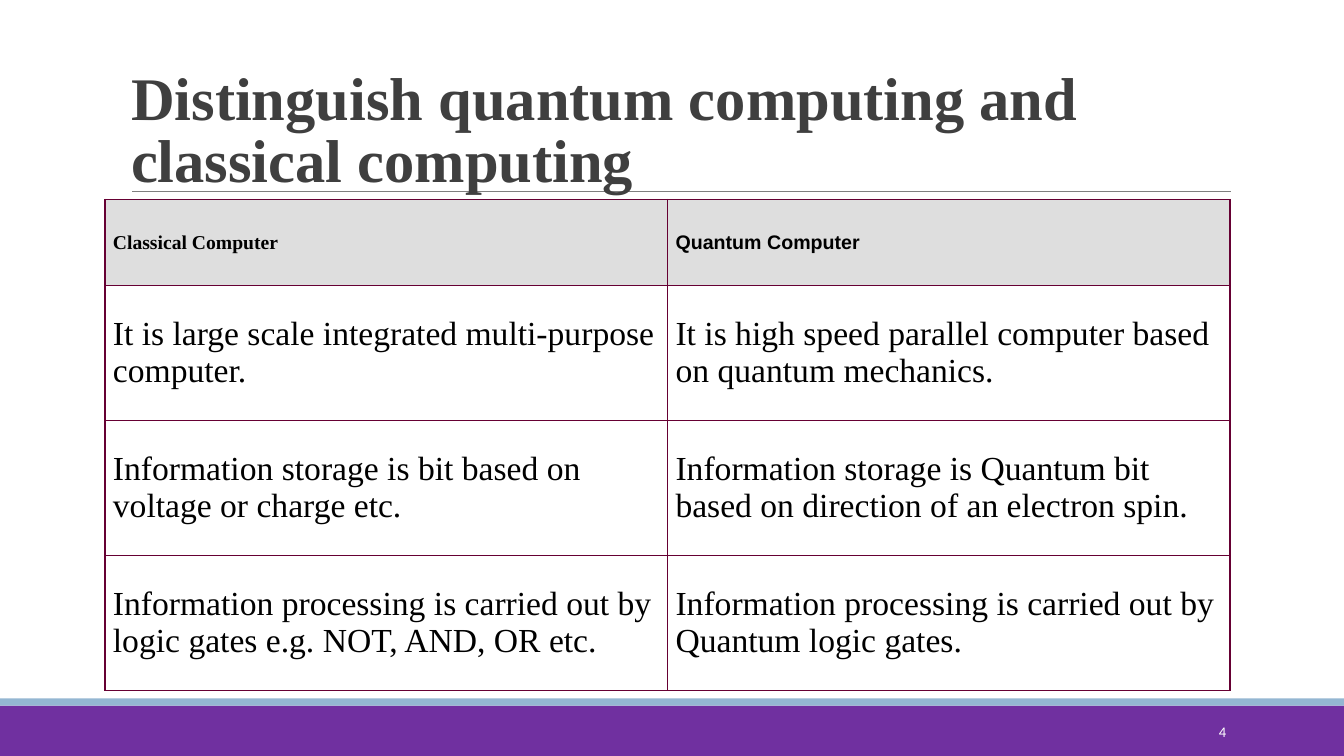
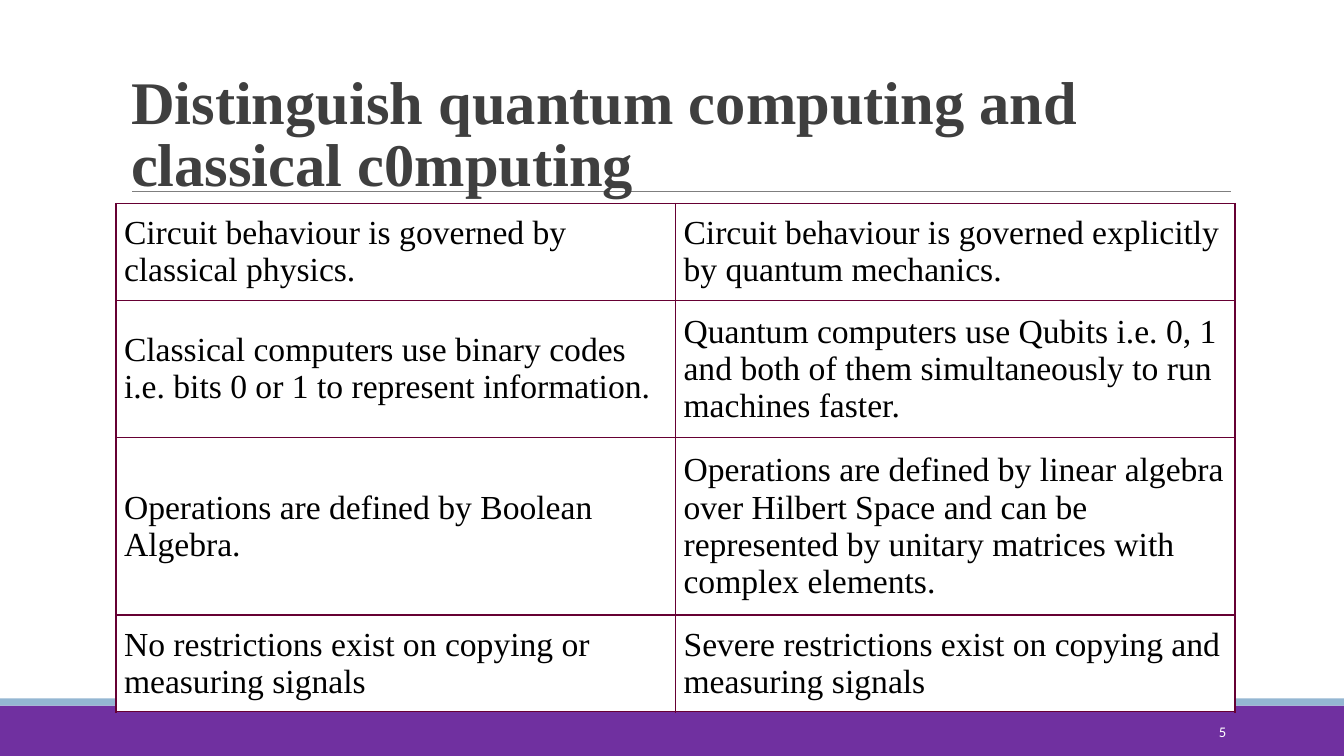
from lxml import etree
from pptx import Presentation
from pptx.dml.color import RGBColor
from pptx.enum import shapes, text
from pptx.oxml.ns import qn
from pptx.util import Inches, Pt

PURPLE = RGBColor(0x70, 0x30, 0xA0)
PALE_BLUE = RGBColor(0x94, 0xB6, 0xD2)
RULE_GREY = RGBColor(0x7F, 0x7F, 0x7F)
TITLE_GREY = RGBColor(0x3F, 0x3F, 0x3F)
HEADER_GREY = RGBColor(0xDE, 0xDE, 0xDE)
BORDER = RGBColor(0x66, 0x00, 0x33)
BLACK = RGBColor(0, 0, 0)
WHITE = RGBColor(0xFF, 0xFF, 0xFF)

SERIF, SANS, NUMBER_FONT = "Times New Roman", "Arial", "Calibri"
WIDTH, HEIGHT = 13.33, 7.5
CELL_MARGIN = 0.08


class Deck:
    """Holds the presentation, its style and the slide being built."""

    def __init__(self):
        self.prs = Presentation()
        self.prs.slide_width, self.prs.slide_height = Inches(WIDTH), Inches(HEIGHT)
        self.s = None

    def new_slide(self, title, title_box, number):
        self.s = self.prs.slides.add_slide(self.prs.slide_layouts[5])
        self.band(7, 0.5, PURPLE)
        self.band(6.93, 0.07, PALE_BLUE)
        self.rule(1.31, 12.21, 1.9)
        self.title(title, title_box)
        self.slide_number(number)

    def run(self, p, words, font, size, color, bold=False):
        r = p.add_run()
        r.text = words
        f = r.font
        f.name, f.size, f.bold = font, Pt(size), bold
        f.color.rgb = color

    def band(self, top, height, color):
        sp = self.s.shapes.add_shape(shapes.MSO_SHAPE.RECTANGLE, 0, Inches(top),
                                     Inches(WIDTH), Inches(height))
        sp.shadow.inherit = False
        sp.fill.solid()
        sp.fill.fore_color.rgb = color
        sp.line.fill.background()

    def rule(self, left, right, y):
        line = self.s.shapes.add_connector(shapes.MSO_CONNECTOR.STRAIGHT, Inches(left),
                                           Inches(y), Inches(right), Inches(y))
        line.line.color.rgb = RULE_GREY
        line.line.width = Pt(0.75)
        etree.SubElement(line._element.spPr, qn("a:effectLst"))

    def title(self, words, box):
        sp = self.s.shapes.title
        sp._element.getparent().append(sp._element)  # in front of the rule
        sp.left, sp.top, sp.width, sp.height = map(Inches, box)
        tf = sp.text_frame
        tf.word_wrap = True
        tf.auto_size = text.MSO_AUTO_SIZE.NONE
        tf.vertical_anchor = text.MSO_ANCHOR.BOTTOM
        p = tf.paragraphs[0]
        p.alignment = text.PP_ALIGN.LEFT
        p.line_spacing = 0.85
        self.run(p, words, SERIF, 43.2, TITLE_GREY, bold=True)

    def slide_number(self, number):
        sp = self.s.shapes.add_textbox(Inches(10.83), Inches(7.06), Inches(1.43), Inches(0.4))
        tf = sp.text_frame
        tf.word_wrap = True
        tf.vertical_anchor = text.MSO_ANCHOR.MIDDLE
        p = tf.paragraphs[0]
        p.alignment = text.PP_ALIGN.RIGHT
        self.run(p, str(number), NUMBER_FONT, 10.5, WHITE)

    def table(self, left, top, col_width, row_heights, rows, header=None):
        """Two-column comparison; header is a list of (words, font)."""
        body = [[(words, SERIF) for words in row] for row in rows]
        cells = ([header] if header else []) + body
        frame = self.s.shapes.add_table(len(cells), 2, Inches(left), Inches(top),
                                        Inches(2 * col_width), Inches(sum(row_heights)))
        tbl = frame.table
        tbl.first_row, tbl.horz_banding = bool(header), False
        for col in tbl.columns:
            col.width = Inches(col_width)
        for i, (height, row) in enumerate(zip(row_heights, cells)):
            tbl.rows[i].height = Inches(height)
            is_header = bool(header) and i == 0
            for j, (words, font) in enumerate(row):
                self.cell(tbl.cell(i, j), words, font, is_header)

    def cell(self, cell, words, font, is_header):
        cell.margin_left = cell.margin_right = Inches(CELL_MARGIN)
        cell.margin_top = cell.margin_bottom = Inches(CELL_MARGIN)
        cell.vertical_anchor = text.MSO_ANCHOR.MIDDLE
        self.borders(cell)
        cell.fill.solid()
        cell.fill.fore_color.rgb = HEADER_GREY if is_header else WHITE
        self.run(cell.text_frame.paragraphs[0], words, font,
                 14 if is_header else 24, BLACK, bold=is_header)

    def borders(self, cell):
        tc_pr = cell._tc.get_or_add_tcPr()
        for side in ("a:lnL", "a:lnR", "a:lnT", "a:lnB"):
            ln = etree.SubElement(tc_pr, qn(side), w=str(Pt(1.2)))
            fill = etree.SubElement(ln, qn("a:solidFill"))
            etree.SubElement(fill, qn("a:srgbClr"), val=str(BORDER))


def main():
    deck = Deck()

    deck.new_slide("Distinguish quantum computing and classical computing",
                   (1.2, 0.66, 10.76, 1.32), 4)
    deck.table(1.04, 1.98, 5.58, [0.85] + [1.34] * 3, [
        ("It is large scale integrated multi-purpose computer.",
         "It is high speed parallel computer based on quantum mechanics."),
        ("Information storage is bit based on voltage or charge etc.",
         "Information storage is Quantum bit based on direction of an electron spin."),
        ("Information processing is carried out by logic gates e.g. NOT, AND, OR etc.",
         "Information processing is carried out by Quantum logic gates."),
    ], header=[("Classical Computer", SERIF), ("Quantum Computer", SANS)])

    deck.new_slide("Distinguish quantum computing and classical c0mputing",
                   (1.2, 0.91, 11, 1.11), 5)
    deck.table(1.15, 2.02, 5.55, [0.94, 1.32, 1.71, 0.94], [
        ("Circuit behaviour is governed by classical physics.",
         "Circuit behaviour is governed explicitly by quantum mechanics."),
        ("Classical computers use binary codes i.e. bits 0 or 1 to represent information.",
         "Quantum computers use Qubits i.e. 0, 1 and both of them simultaneously "
         "to run machines faster."),
        ("Operations are defined by Boolean Algebra.",
         "Operations are defined by linear algebra over Hilbert Space and can be "
         "represented by unitary matrices with complex elements."),
        ("No restrictions exist on copying or measuring signals",
         "Severe restrictions exist on copying and measuring signals"),
    ])

    deck.prs.save("out.pptx")


if __name__ == "__main__":
    main()
